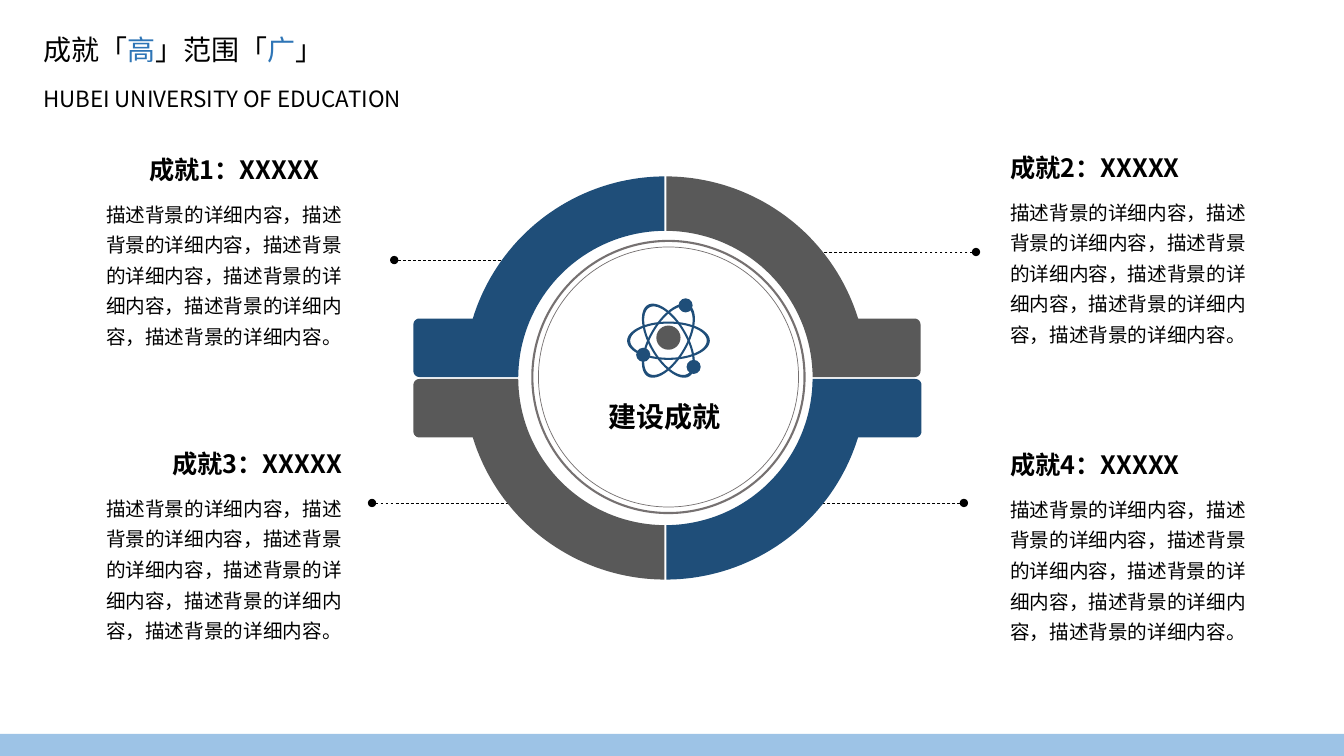
import math

import lxml.etree
import pptx
import pptx.dml.color
import pptx.enum.dml
import pptx.enum.shapes
import pptx.enum.text
import pptx.oxml.ns
import pptx.util

Inches = pptx.util.Inches
Pt = pptx.util.Pt
SHAPES = pptx.enum.shapes.MSO_SHAPE
ALIGN = pptx.enum.text.PP_ALIGN
ANCHOR = pptx.enum.text.MSO_ANCHOR

FONT = "Noto Sans CJK SC"
COLORS = {
    "navy": "1F4E79",
    "grey": "595959",
    "ring": "767171",
    "accent": "2E75B6",
    "footer": "9DC3E6",
    "text": "000000",
}
SENTENCE = "描述背景的详细内容"
DETAIL = "，".join([SENTENCE] * 6) + "。"


def color(name):
    return pptx.dml.color.RGBColor.from_string(COLORS[name])


def add_child(parent, tag, **attributes):
    child = lxml.etree.SubElement(parent, pptx.oxml.ns.qn(tag))
    for key, value in attributes.items():
        child.set(key, value)
    return child


def paint(shape, fill):
    shape.shadow.inherit = False
    shape.fill.solid()
    shape.fill.fore_color.rgb = color(fill)
    shape.line.fill.background()


def add_oval(page, center_x, center_y, radius):
    return page.shapes.add_shape(
        SHAPES.OVAL, Inches(center_x - radius), Inches(center_y - radius),
        Inches(2 * radius), Inches(2 * radius))


def add_outline(page, contours, fill):
    """Filled freeform from one or more closed lists of points in inches."""
    scaled = [[(Inches(x), Inches(y)) for x, y in points] for points in contours]
    builder = page.shapes.build_freeform(*scaled[0][0])
    builder.add_line_segments(scaled[0][1:], close=True)
    for points in scaled[1:]:
        builder.move_to(*points[0])
        builder.add_line_segments(points[1:], close=True)
    paint(builder.convert_to_shape(), fill)


def add_text(page, box, spans, size, bold=False, align=ALIGN.LEFT,
             anchor=ANCHOR.TOP, spacing=None):
    """Text box with one paragraph; spans are (text, colour name) pairs."""
    frame = page.shapes.add_textbox(*map(Inches, box)).text_frame
    frame.word_wrap = True
    frame.vertical_anchor = anchor
    para = frame.paragraphs[0]
    para.alignment = align
    if spacing:
        para.line_spacing = spacing
    para.font.size = Pt(size)
    para.font.bold = bold
    para.font.color.rgb = color("text")
    para.font.name = FONT
    add_child(para.font._element, "a:ea", typeface=FONT)
    for text, name in spans:
        span = para.add_run()
        span.text = text
        if name != "text":
            span.font.color.rgb = color(name)


def add_header(page, left, top):
    title = [("成就「", "text"), ("高", "accent"), ("」范围「", "text"),
             ("广", "accent"), ("」", "text")]
    add_text(page, (left, top, 3.36, 0.61), title, 20, anchor=ANCHOR.MIDDLE)
    add_text(page, (left, top + 0.62, 4.01, 0.37),
             [("HUBEI UNIVERSITY OF EDUCATION", "text")], 16)


def add_footer(page, left, top, width, height):
    bar = page.shapes.add_shape(SHAPES.RECTANGLE, *map(Inches, (left, top, width, height)))
    paint(bar, "footer")


def add_leader(page, dot_x, ring_x, y):
    """Dashed line with a round end away from the ring."""
    leader = page.shapes.add_connector(
        pptx.enum.shapes.MSO_CONNECTOR.STRAIGHT,
        Inches(dot_x), Inches(y), Inches(ring_x), Inches(y))
    leader.line.color.rgb = color("text")
    leader.line.width = Pt(0.5)
    leader.line.dash_style = pptx.enum.dml.MSO_LINE.DASH
    add_child(leader.line._get_or_add_ln(), "a:headEnd", type="oval")
    add_child(leader._element.spPr, "a:effectLst")


def arc(radius, start, end, steps=40):
    angles = [start + (end - start) * i / steps for i in range(steps + 1)]
    return [(radius * math.cos(a), radius * math.sin(a)) for a in angles]


def add_quadrant(page, center_x, center_y, side_x, side_y, reach, fill):
    """Quarter of the ring with a rounded tab, mirrored by side_x and side_y."""
    outer, inner, gap, tab, corner = 2.0, 1.46, 0.01, 0.59, 0.06
    top = math.acos(gap / outer)
    points = arc(outer, top, math.asin(tab / outer))
    rounded = arc(corner, math.pi / 2, 0, 6)
    points += [(reach - corner + x, tab - corner + y) for x, y in rounded]
    points += [(reach - corner + x, gap + corner - y) for x, y in reversed(rounded)]
    points += arc(inner, math.asin(gap / inner), math.acos(gap / inner))
    add_outline(page, [[(center_x + side_x * x, center_y + side_y * y)
                        for x, y in points]], fill)


def ellipse(center_x, center_y, half_width, half_height, turn):
    points = []
    for x, y in arc(1, 0, 2 * math.pi, 60)[:-1]:
        x, y = x * half_width, y * half_height
        points.append((center_x + x * math.cos(turn) - y * math.sin(turn),
                       center_y + x * math.sin(turn) + y * math.cos(turn)))
    return points


def add_atom(page, center_x, center_y):
    # Orbits
    for degrees in (0, 60, -60):
        turn = math.radians(degrees)
        add_outline(page, [ellipse(center_x, center_y, 0.41, 0.19, turn),
                           ellipse(center_x, center_y, 0.38, 0.17, turn)], "navy")
    # Electrons and nucleus
    for shift_x, shift_y in ((0.17, -0.35), (-0.25, 0.14), (0.25, 0.26)):
        paint(add_oval(page, center_x + shift_x, center_y + shift_y, 0.07), "navy")
    paint(add_oval(page, center_x, center_y - 0.03, 0.12), "grey")


def add_hub(page, center_x, center_y):
    # Four ring quadrants
    for side_x, side_y, reach, fill in (
            (1, 1, 2.54, "navy"), (-1, -1, 2.5, "navy"),
            (1, -1, 2.53, "grey"), (-1, 1, 2.5, "grey")):
        add_quadrant(page, center_x, center_y, side_x, side_y, reach, fill)
    # Label and icon
    add_text(page, (center_x - 0.66, center_y + 0.16, 1.38, 0.44),
             [("建设成就", "text")], 20, bold=True, anchor=ANCHOR.MIDDLE)
    add_atom(page, center_x + 0.03, center_y - 0.37)
    # Thin double circle
    for radius, width in ((1.35, 1.5), (1.29, 0.5)):
        circle = add_oval(page, center_x + 0.03, center_y - 0.01, radius)
        circle.shadow.inherit = False
        circle.fill.background()
        circle.line.color.rgb = color("ring")
        circle.line.width = Pt(width)


def add_achievement(page, number, title_left, left, top, align):
    add_text(page, (title_left, top, 2.49, 0.4),
             [(f"成就{number}：XXXXX", "text")], 18, bold=True, align=align)
    add_text(page, (left, top + 0.41, 2.72, 1.63), [(DETAIL, "text")], 14,
             align=align, spacing=1.3)


def main():
    deck = pptx.Presentation()
    deck.slide_width, deck.slide_height = Inches(13.33), Inches(7.5)
    page = deck.slides.add_slide(deck.slide_layouts[6])

    add_footer(page, 0, 7.28, 13.33, 0.22)
    for dot_x, ring_x, y in ((9.68, 7.87, 2.5), (9.56, 7.87, 4.99),
                             (3.91, 5.46, 2.58), (3.69, 5.53, 4.99)):
        add_leader(page, dot_x, ring_x, y)
    add_hub(page, 6.6, 3.75)
    add_achievement(page, 1, 0.77, 0.77, 1.48, ALIGN.RIGHT)
    add_achievement(page, 2, 9.92, 9.92, 1.46, ALIGN.LEFT)
    add_achievement(page, 3, 1, 0.77, 4.4, ALIGN.RIGHT)
    add_achievement(page, 4, 9.92, 9.92, 4.41, ALIGN.LEFT)
    add_header(page, 0.33, 0.18)

    deck.save("out.pptx")


if __name__ == "__main__":
    main()
